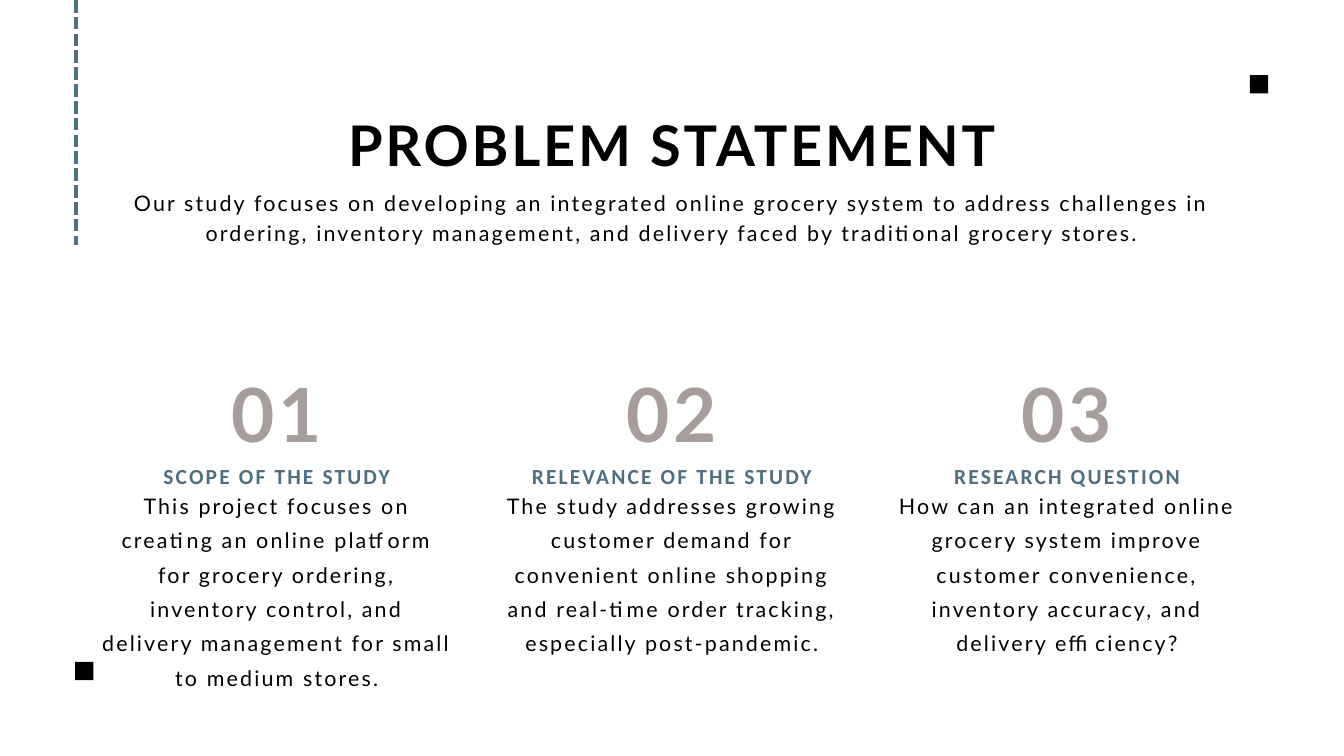
from lxml import etree
from pptx import Presentation
from pptx.dml.color import RGBColor
from pptx.enum.dml import MSO_LINE
from pptx.enum.shapes import MSO_CONNECTOR, MSO_SHAPE
from pptx.enum.text import MSO_AUTO_SIZE, PP_ALIGN
from pptx.oxml.ns import qn
from pptx.util import Inches, Pt

CENTER = PP_ALIGN.CENTER
FIT_SHAPE = MSO_AUTO_SIZE.SHAPE_TO_FIT_TEXT
RECTANGLE = MSO_SHAPE.RECTANGLE
STRAIGHT = MSO_CONNECTOR.STRAIGHT
DASH = MSO_LINE.SQUARE_DOT  # written as sysDash or sysDot, see add_dashed_line

SLIDE_WIDTH, SLIDE_HEIGHT = 20, 11.25
BLACK, BLUE, TAUPE = "000000", "4E6E81", "A79E9C"

# Three equal columns between the side margins
MARGIN = 1.51
GAP = 0.66
CONTENT_WIDTH = SLIDE_WIDTH - 2 * MARGIN
COLUMN_WIDTH = (CONTENT_WIDTH - 2 * GAP) / 3

# Text styles: font, size, line spacing, letter spacing, colour, bold
TITLE = ("Lato", 60, 84, 3, BLACK, True)
INTRO = ("Lato", 23, 32.2, 2.3, BLACK, False)
NUMBER = ("Lato", 80, 112, 4, TAUPE, True)
HEADING = ("Calibri", 23, 32.2, 2.3, BLUE, True)
BODY = ("Lato", 23, 36.8, 2.3, BLACK, False)

INTRO_TEXT = (
    "Our study focuses on developing an integrated online grocery system to "
    "address challenges in ordering, inventory management, and delivery faced "
    "by traditional grocery stores."
)
TOPICS = [
    ("SCOPE OF THE STUDY",
     "This project focuses on creating an online platform for grocery ordering, "
     "inventory control, and delivery management for small to medium stores."),
    ("RELEVANCE OF THE STUDY",
     "The study addresses growing customer demand for convenient online shopping "
     "and real-time order tracking, especially post-pandemic."),
    ("RESEARCH QUESTION",
     "How can an integrated online grocery system improve customer convenience, "
     "inventory accuracy, and delivery efficiency?"),
]


def color(hex_string):
    return RGBColor.from_string(hex_string)


def add_text(slide, text, left, top, width, height, style):
    font_name, size, line_spacing, letter_spacing, text_color, bold = style
    box = slide.shapes.add_textbox(
        Inches(left), Inches(top), Inches(width), Inches(height))
    frame = box.text_frame
    frame.margin_left = frame.margin_right = 0
    frame.margin_top = frame.margin_bottom = 0
    frame.word_wrap = True
    frame.auto_size = FIT_SHAPE
    frame.text = text
    paragraph = frame.paragraphs[0]
    paragraph.alignment = CENTER
    paragraph.line_spacing = Pt(line_spacing)
    run = paragraph.runs[0]
    run.font.name = font_name
    run.font.size = Pt(size)
    run.font.bold = bold
    run.font.color.rgb = color(text_color)
    run.font._element.set("spc", str(round(letter_spacing * 100)))


def add_square(slide, left, top, side=0.27):
    square = slide.shapes.add_shape(
        RECTANGLE, Inches(left), Inches(top), Inches(side), Inches(side))
    square.shadow.inherit = False
    square.fill.solid()
    square.fill.fore_color.rgb = color(BLACK)
    square.line.fill.background()


def add_dashed_line(slide, x, top, bottom):
    line = slide.shapes.add_connector(
        STRAIGHT, Inches(x), Inches(top), Inches(x), Inches(bottom))
    line.line.color.rgb = color(BLUE)
    line.line.width = Pt(4.5)
    line.line.dash_style = DASH
    properties = line._element.spPr
    properties.find(".//" + qn("a:prstDash")).set("val", "sysDash")
    etree.SubElement(properties, qn("a:effectLst"))


def add_topic(slide, index, heading, body):
    left = MARGIN + index * (COLUMN_WIDTH + GAP)
    add_text(slide, f"{index + 1:02}", left, 5.25, COLUMN_WIDTH, 1.55, NUMBER)
    add_text(slide, heading, left, 6.82, COLUMN_WIDTH, 0.43, HEADING)
    add_text(slide, body, left, 7.21, COLUMN_WIDTH, 3.04, BODY)


def main():
    presentation = Presentation()
    presentation.slide_width = Inches(SLIDE_WIDTH)
    presentation.slide_height = Inches(SLIDE_HEIGHT)
    slide = presentation.slides.add_slide(presentation.slide_layouts[6])

    # Title and introduction
    add_text(slide, "PROBLEM STATEMENT", MARGIN, 1.48, CONTENT_WIDTH, 1.18, TITLE)
    add_text(slide, INTRO_TEXT, MARGIN, 2.77, CONTENT_WIDTH, 0.87, INTRO)

    # Numbered topics
    for index, (heading, body) in enumerate(TOPICS):
        add_topic(slide, index, heading, body)

    # Corner decorations
    add_square(slide, 1.12, 9.85)
    add_square(slide, 18.6, 1.12)
    add_dashed_line(slide, 1.13, 0, 3.65)

    presentation.save("out.pptx")


if __name__ == "__main__":
    main()
